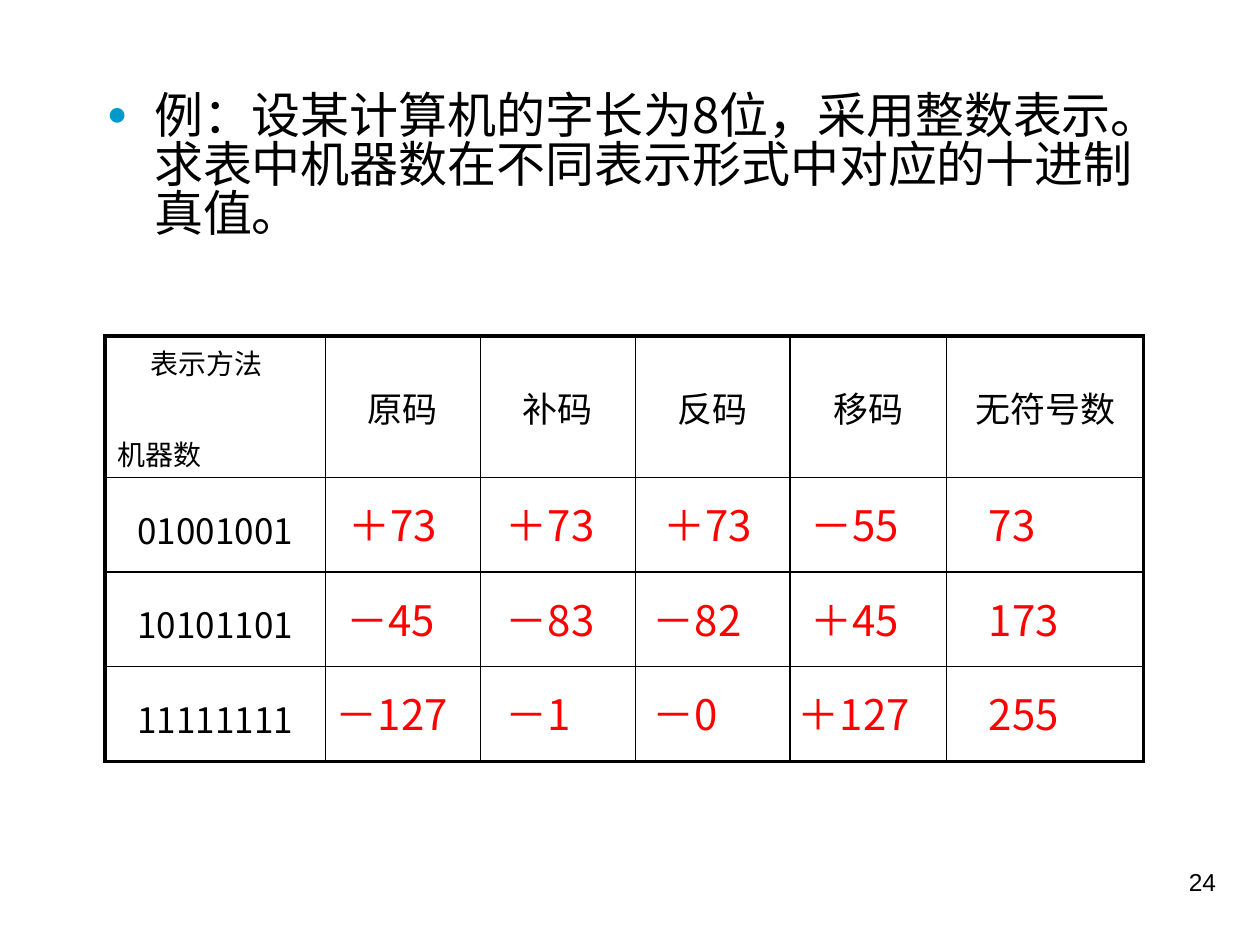
from dataclasses import dataclass

from lxml.etree import SubElement
from pptx import Presentation
from pptx.dml.color import RGBColor
from pptx.enum.lang import MSO_LANGUAGE_ID as Lang
from pptx.enum.text import MSO_ANCHOR as Anchor, MSO_AUTO_SIZE as Fit, PP_ALIGN as Align
from pptx.oxml import parse_xml
from pptx.oxml.ns import nsdecls, qn
from pptx.util import Pt


@dataclass(frozen=True)
class Theme:
    ink: str = "000000"
    red: str = "FF0000"
    dot: str = "0099CC"
    sans: str = "Noto Sans CJK SC"
    plain: str = "Arial"
    body: int = 28
    value: int = 24
    head: int = 20
    label: int = 16
    page: int = 14
    thin: float = 1
    thick: float = 2.25


T = Theme()


def write(par, text, size, color=T.ink, face=T.sans, align=Align.LEFT, before=0):
    par.alignment = align
    par.space_before = Pt(before)
    run = par.add_run()
    run.text = text
    font = run.font
    font.size, font.name = Pt(size), face
    font.color.rgb = RGBColor.from_string(color)
    font.language_id = Lang.SIMPLIFIED_CHINESE
    SubElement(font._element, qn("a:ea")).set("typeface", face)


def add_box(left, top, width, height, side=7.2):
    box = slide.shapes.add_textbox(Pt(left), Pt(top), Pt(width), Pt(height))
    frame = box.text_frame
    frame.word_wrap = True
    frame.margin_left = frame.margin_right = Pt(side)
    return frame


deck = Presentation()
deck.slide_width, deck.slide_height = Pt(720), Pt(540)
slide = deck.slides.add_slide(deck.slide_layouts[6])

# Question with a bullet
frame = add_box(54, 48, 612, 420)
frame.margin_top = Pt(6)
par = frame.paragraphs[0]
par.line_spacing = 0.83
props = par._p.get_or_add_pPr()
props.set("marL", str(Pt(27)))
props.set("indent", str(Pt(-27)))
for mark in (
    f'<a:buClr {nsdecls("a")}><a:srgbClr val="{T.dot}"/></a:buClr>',
    f'<a:buSzPct {nsdecls("a")} val="70000"/>',
    f'<a:buFont {nsdecls("a")} typeface="{T.plain}"/>',
    f'<a:buChar {nsdecls("a")} char="●"/>',
):
    props.append(parse_xml(mark))
write(par, "例：设某计算机的字长为8位，采用整数表示。"
      "求表中机器数在不同表示形式中对应的十进制真值。", T.body)

# Table grid
heads = ["原码", "补码", "反码", "移码", "无符号数"]
codes = ["01001001", "10101101", "11111111"]
widths = [126, 88.5, 88.5, 88.5, 89.5, 112.5]
heights = [81, 54, 54, 54]
rows, cols = len(heights), len(widths)
grid = slide.shapes.add_table(rows, cols, Pt(60), Pt(192),
                              Pt(sum(widths)), Pt(sum(heights))).table
grid.first_row = grid.horz_banding = False
for col, width in zip(grid.columns, widths):
    col.width = Pt(width)
for row, height in zip(grid.rows, heights):
    row.height = Pt(height)

# Cell fills and borders, heavier round the outside
for r in range(rows):
    for c in range(cols):
        cell = grid.cell(r, c)
        cell.fill.background()
        cell.vertical_anchor = Anchor.MIDDLE
        outer = {"lnL": c == 0, "lnR": c == cols - 1,
                 "lnT": r == 0, "lnB": r == rows - 1}
        for i, (edge, heavy) in enumerate(outer.items()):
            line = parse_xml(
                f'<a:{edge} {nsdecls("a")} w="{Pt(T.thick if heavy else T.thin)}">'
                f'<a:solidFill><a:srgbClr val="{T.ink}"/></a:solidFill></a:{edge}>')
            cell._tc.get_or_add_tcPr().insert(i, line)

# Table headings
corner = grid.cell(0, 0)
corner.vertical_anchor = Anchor.TOP
first = corner.text_frame.paragraphs[0]
first._p.get_or_add_pPr().set("indent", str(Pt(19)))
write(first, "表示方法", T.label)
write(corner.text_frame.add_paragraph(), "机器数", T.label, before=29)
for c, text in enumerate(heads, 1):
    write(grid.cell(0, c).text_frame.paragraphs[0], text, T.head, align=Align.CENTER)
for r, text in enumerate(codes, 1):
    cell = grid.cell(r, 0)
    cell.margin_top = Pt(8)
    write(cell.text_frame.paragraphs[0], text, T.head, align=Align.CENTER)

# Answers over the table, row by row
lefts = [
    [192, 282, 372, 456, 558],
    [191, 282, 366, 456, 558],
    [192, 282, 366, 456, 558],
]
answers = [
    ["＋73", "＋73", "＋73", "－55", "73"],
    ["－45", "－83", "－82", "＋45", "173"],
    ["－127", "－1", "－0", "＋127", "255"],
]
for r, (spots, texts) in enumerate(zip(lefts, answers)):
    for left, text in zip(spots, texts):
        side = 0 if len(text) == 4 else 7.2
        frame = add_box(left, 282 + 54 * r, 78, 36, side)
        frame.auto_size = Fit.SHAPE_TO_FIT_TEXT
        write(frame.paragraphs[0], text, T.value, T.red)

# Page number
frame = add_box(552, 492, 150, 36)
write(frame.paragraphs[0], "24", T.page, face=T.plain, align=Align.RIGHT)

deck.save("out.pptx")
